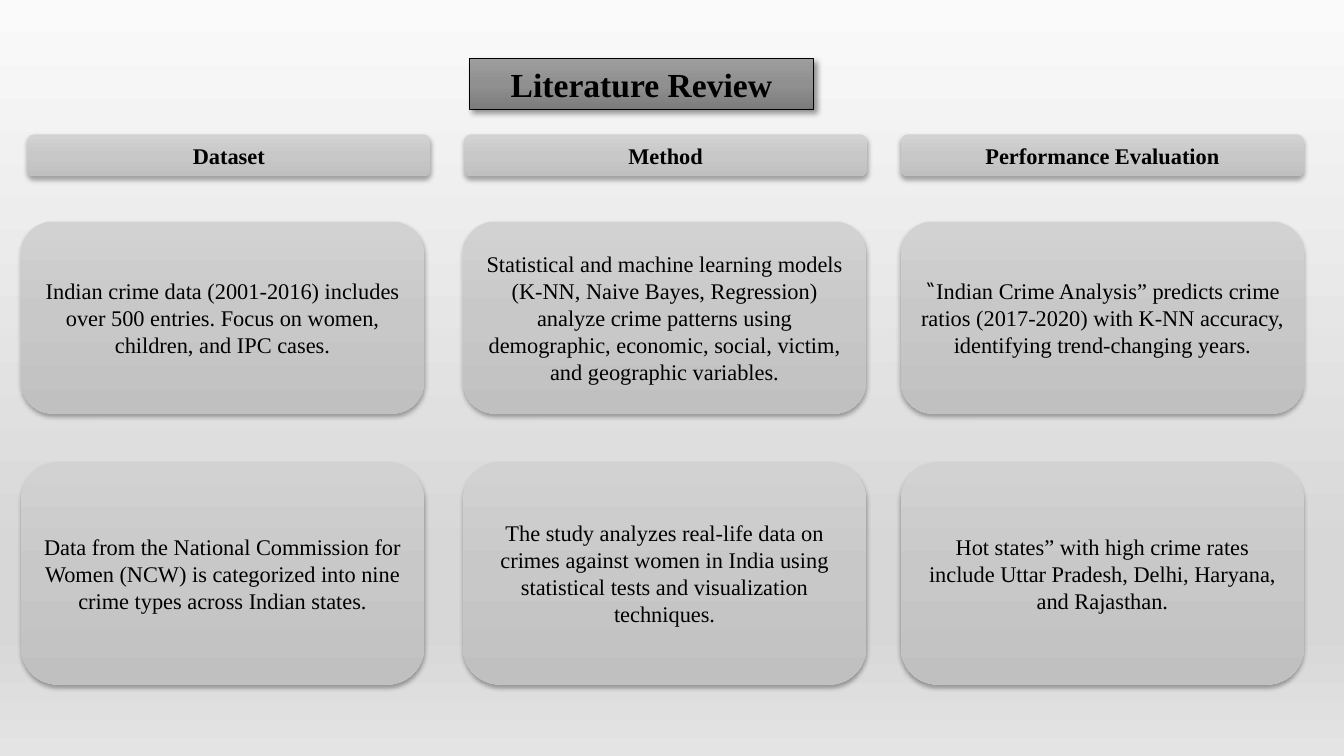
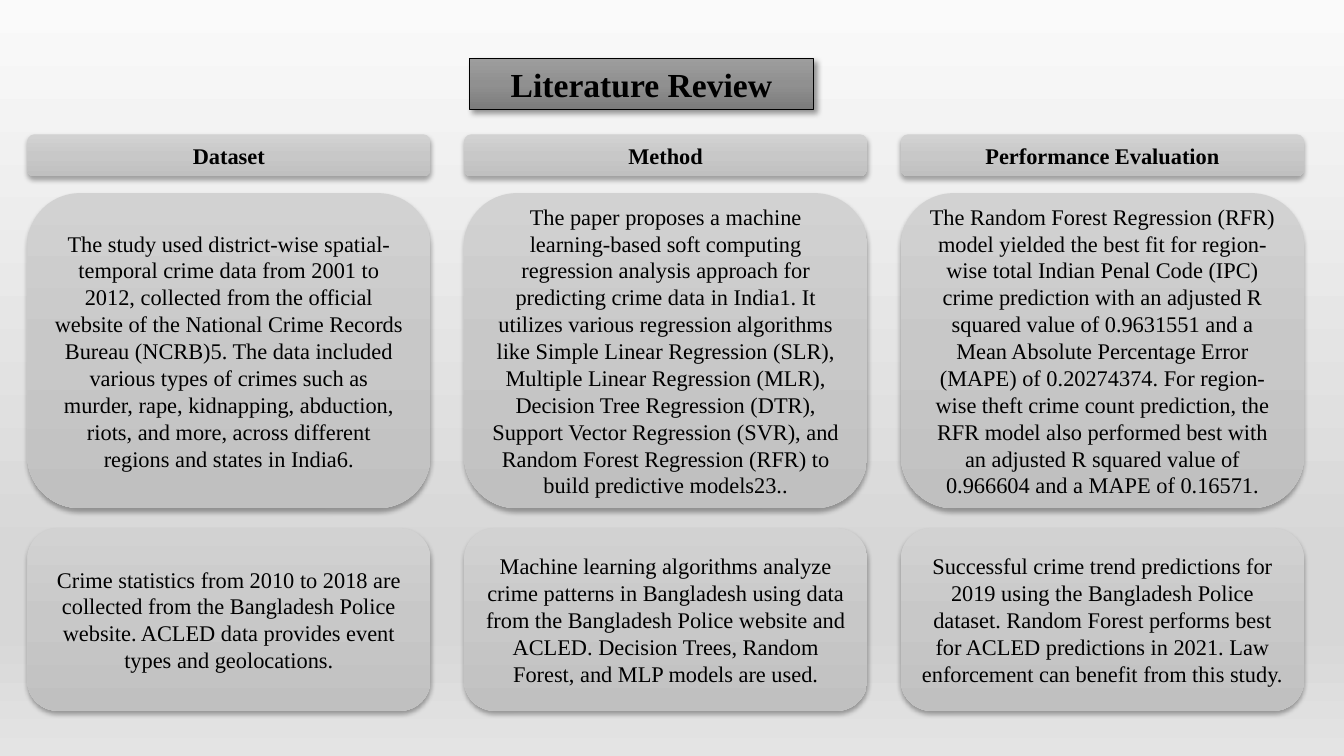
import dataclasses

import pptx
import pptx.dml.color
import pptx.enum.shapes
import pptx.enum.text
import pptx.oxml
import pptx.oxml.ns
import pptx.util

PX = 9525
SLIDE_W, SLIDE_H = 1280, 720
COLUMN_W = 384
COLUMN_LEFTS = (26, 442, 858)
TITLE_BOX = (447, 56, 328, 48)
HEADER_TOP, HEADER_H = 128, 40
HEADERS = ("Dataset", "Method", "Performance Evaluation")


@dataclasses.dataclass(frozen=True)
class Shadow:
    opacity: int
    blur: float
    distance: float
    angle: int


@dataclasses.dataclass(frozen=True)
class Theme:
    ink: str = "000000"
    page: tuple = ((0, "FAFAFA"), (74, "D7D7D7"), (83, "D7D7D7"), (100, "E4E4E4"))
    title_fill: tuple = ((0, "9D9D9D"), (50, "909090"), (100, "7C7C7C"))
    panel_fill: tuple = ((0, "D2D2D2"), (50, "C8C8C8"), (100, "C0C0C0"))
    title_shadow: Shadow = Shadow(40, 4, 3, 45)
    panel_shadow: Shadow = Shadow(32, 3.5, 2.2, 90)
    font: str = "Times New Roman"
    quote_font: str = "TeX Gyre Adventor"
    title_size: int = 24
    body_size: int = 16


THEME = Theme()


def px(*lengths):
    return [pptx.util.Emu(length * PX) for length in lengths]


def drawing_xml(markup):
    """Parse one DrawingML element; the a: prefix is declared on its root."""
    tag, rest = markup.split(" ", 1)
    return pptx.oxml.parse_xml(f"{tag} {pptx.oxml.ns.nsdecls('a')} {rest}")


def paint_gradient(fill, owner, stops):
    """Fill top to bottom; owner is the element that holds the fill."""
    fill.gradient()
    fill.gradient_angle = 270
    gradient = next(owner.iter(pptx.oxml.ns.qn("a:gradFill")))
    stop_list = gradient.find(pptx.oxml.ns.qn("a:gsLst"))
    for stop in list(stop_list):
        stop_list.remove(stop)
    for position, color in stops:
        stop_list.append(drawing_xml(
            f'<a:gs pos="{position * 1000}"><a:srgbClr val="{color}"/></a:gs>'))


def cast_shadow(shape, shadow):
    shape.shadow.inherit = False
    effects = shape.element.spPr.find(pptx.oxml.ns.qn("a:effectLst"))
    effects.append(drawing_xml(
        f'<a:outerShdw blurRad="{pptx.util.Pt(shadow.blur)}" '
        f'dist="{pptx.util.Pt(shadow.distance)}" dir="{shadow.angle * 60000}" '
        f'algn="ctr" rotWithShape="0"><a:srgbClr val="{THEME.ink}">'
        f'<a:alpha val="{shadow.opacity * 1000}"/></a:srgbClr></a:outerShdw>'))


def write_centered(shape, text, size, bold):
    """Write one paragraph; an opening quote takes its own font."""
    frame = shape.text_frame
    frame.word_wrap = True
    frame.auto_size = pptx.enum.text.MSO_AUTO_SIZE.NONE
    frame.vertical_anchor = pptx.enum.text.MSO_ANCHOR.MIDDLE
    paragraph = frame.paragraphs[0]
    paragraph.alignment = pptx.enum.text.PP_ALIGN.CENTER
    for piece in filter(None, text.partition("“")):
        run = paragraph.add_run()
        run.text = piece
        run.font.name = THEME.quote_font if piece == "“" else THEME.font
        run.font.size = pptx.util.Pt(size)
        run.font.bold = bold
        run.font.color.rgb = pptx.dml.color.RGBColor.from_string(THEME.ink)


def place_title(slide, box, text):
    title = slide.shapes.title
    title.left, title.top, title.width, title.height = px(*box)
    title.element.spPr.append(
        drawing_xml('<a:prstGeom prst="roundRect"><a:avLst/></a:prstGeom>'))
    paint_gradient(title.fill, title.element.spPr, THEME.title_fill)
    title.line.color.rgb = pptx.dml.color.RGBColor.from_string(THEME.ink)
    title.line.width = pptx.util.Pt(0.5)
    cast_shadow(title, THEME.title_shadow)
    write_centered(title, text, THEME.title_size, True)


def add_panel(slide, box, text, bold):
    panel = slide.shapes.add_shape(
        pptx.enum.shapes.MSO_SHAPE.ROUNDED_RECTANGLE, *px(*box))
    paint_gradient(panel.fill, panel.element.spPr, THEME.panel_fill)
    panel.line.fill.background()
    cast_shadow(panel, THEME.panel_shadow)
    write_centered(panel, text, THEME.body_size, bold)


def add_row(slide, lefts, top, height, texts, bold=False):
    for left, text in zip(lefts, texts):
        add_panel(slide, (left, top, COLUMN_W, height), text, bold)


def add_review_slide(deck, card_lefts, studies):
    """Studies are (top, height, texts), one row of cards each."""
    slide = deck.slides.add_slide(deck.slide_layouts.get_by_name("Title Only"))
    place_title(slide, TITLE_BOX, "Literature Review")
    add_row(slide, COLUMN_LEFTS, HEADER_TOP, HEADER_H, HEADERS, bold=True)
    for top, height, texts in studies:
        add_row(slide, card_lefts, top, height, texts)


INDIA_STUDIES = (
    (211, 183, (
        "Indian crime data (2001-2016) includes over 500 entries. Focus on women, "
        "children, and IPC cases.",
        "Statistical and machine learning models (K-NN, Naive Bayes, Regression) "
        "analyze crime patterns using demographic, economic, social, victim, and "
        "geographic variables.",
        "“Indian Crime Analysis” predicts crime ratios (2017-2020) with K-NN "
        "accuracy, identifying trend-changing years.",
    )),
    (440, 212, (
        "Data from the National Commission for Women (NCW) is categorized into nine "
        "crime types across Indian states.",
        "The study analyzes real-life data on crimes against women in India using "
        "statistical tests and visualization techniques.",
        "Hot states” with high crime rates include Uttar Pradesh, Delhi, Haryana, "
        "and Rajasthan.",
    )),
)

REGION_STUDIES = (
    (184, 300, (
        "The study used district-wise spatial-temporal crime data from 2001 to 2012, "
        "collected from the official website of the National Crime Records Bureau "
        "(NCRB)5. The data included various types of crimes such as murder, rape, "
        "kidnapping, abduction, riots, and more, across different regions and states "
        "in India6.",
        "The paper proposes a machine learning-based soft computing regression "
        "analysis approach for predicting crime data in India1. It utilizes various "
        "regression algorithms like Simple Linear Regression (SLR), Multiple Linear "
        "Regression (MLR), Decision Tree Regression (DTR), Support Vector Regression "
        "(SVR), and Random Forest Regression (RFR) to build predictive models23..",
        "The Random Forest Regression (RFR) model yielded the best fit for "
        "region-wise total Indian Penal Code (IPC) crime prediction with an adjusted "
        "R squared value of 0.9631551 and a Mean Absolute Percentage Error (MAPE) of "
        "0.20274374. For region-wise theft crime count prediction, the RFR model also "
        "performed best with an adjusted R squared value of 0.966604 and a MAPE of "
        "0.16571.",
    )),
    (503, 174, (
        "Crime statistics from 2010 to 2018 are collected from the Bangladesh Police "
        "website. ACLED data provides event types and geolocations.",
        "Machine learning algorithms analyze crime patterns in Bangladesh using data "
        "from the Bangladesh Police website and ACLED. Decision Trees, Random Forest, "
        "and MLP models are used.",
        "Successful crime trend predictions for 2019 using the Bangladesh Police "
        "dataset. Random Forest performs best for ACLED predictions in 2021. Law "
        "enforcement can benefit from this study.",
    )),
)


def main():
    deck = pptx.Presentation()
    deck.slide_width, deck.slide_height = px(SLIDE_W, SLIDE_H)
    master = deck.slide_master
    paint_gradient(master.background.fill, master.element, THEME.page)
    add_review_slide(deck, (20, 441, 858), INDIA_STUDIES)
    add_review_slide(deck, COLUMN_LEFTS, REGION_STUDIES)
    deck.save("out.pptx")


if __name__ == "__main__":
    main()
